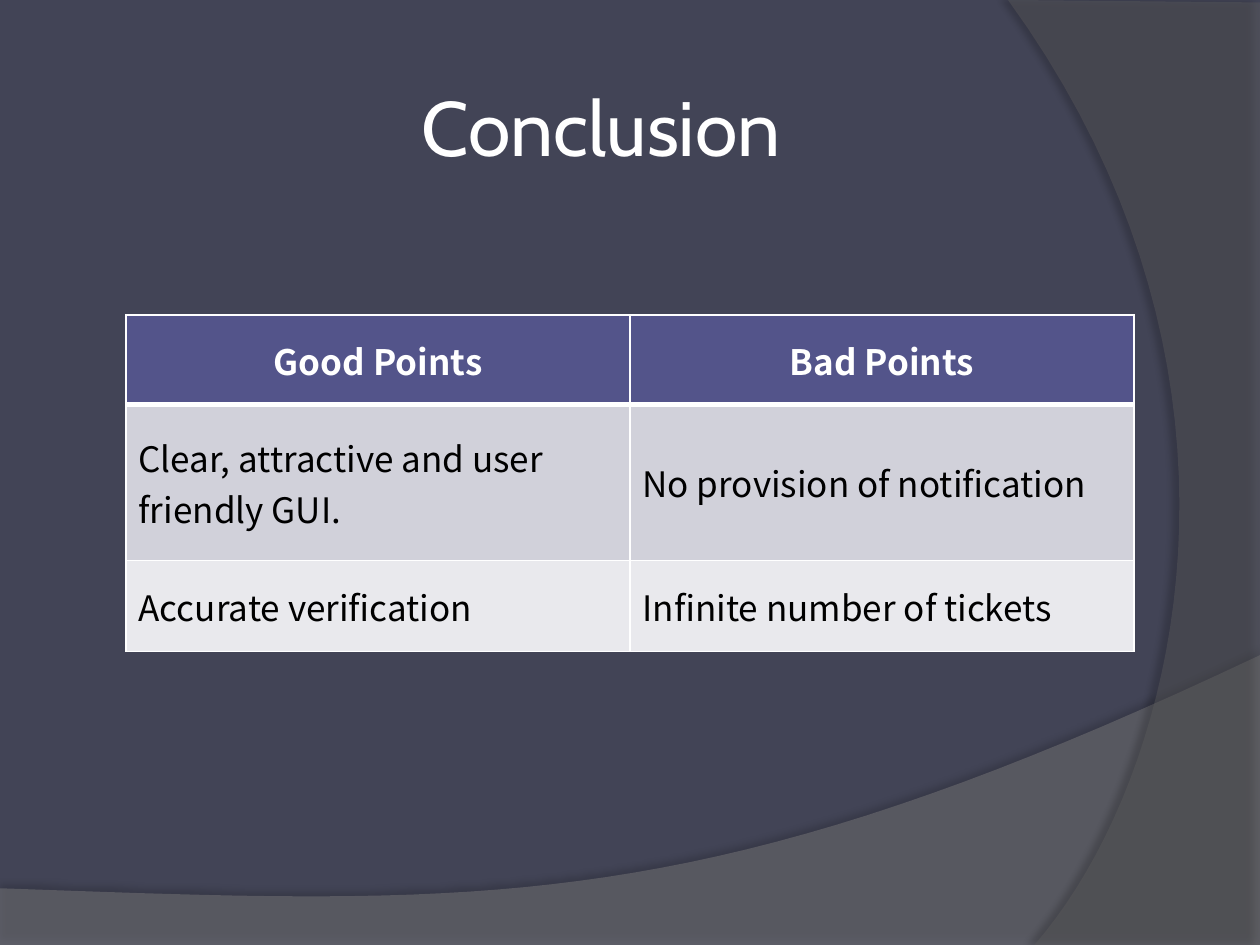
from lxml import etree
from pptx import Presentation, util as u
from pptx.dml.color import RGBColor
from pptx.enum import text
from pptx.oxml import parse_xml
from pptx.oxml.ns import nsdecls, qn

HUES = {"back": "424456", "wave": "7F7F7F", "arc": "5E5E5E", "head": "53548A",
        "odd": "D1D1DA", "even": "E9E9ED", "light": "FFFFFF", "dark": "000000"}
FONTS = {
    "title": {"name": "Cabin", "size": u.Pt(44), "bold": False},
    "head": {"name": "Noto Sans CJK JP", "size": u.Pt(20), "bold": True},
    "body": {"name": "Noto Sans CJK JP", "size": u.Pt(20), "bold": False},
}
COLS, ROWS = 10, 7.5
STEPS = 40


def curve(a, b, c, d):
    for step in range(1, STEPS + 1):
        t = step / STEPS
        s = 1 - t
        yield tuple(s**3 * i + 3 * s * s * t * j + 3 * s * t * t * k + t**3 * m
                    for i, j, k, m in zip(a, b, c, d))


class Deck:
    def __init__(self):
        self.prs = Presentation()
        self.prs.slide_width, self.prs.slide_height = u.Inches(10), u.Inches(7.5)
        self.page = self.prs.slides.add_slide(self.prs.slide_layouts[6])
        self.paint(self.page.background, "back")

    def x(self, col):
        return round(self.prs.slide_width * col / COLS)

    def y(self, row):
        return round(self.prs.slide_height * row / ROWS)

    def box(self, left, top, wide, high):
        return self.x(left), self.y(top), self.x(wide), self.y(high)

    def paint(self, item, hue):
        item.fill.solid()
        item.fill.fore_color.rgb = RGBColor.from_string(HUES[hue])

    def label(self, frame, words, style, hue, align=None):
        para = frame.paragraphs[0]
        para.alignment = align
        run = para.add_run()
        run.text = words
        for key, value in FONTS[style].items():
            setattr(run.font, key, value)
        run.font.color.rgb = RGBColor.from_string(HUES[hue])

    def title(self, words, *area):
        frame = self.page.shapes.add_textbox(*self.box(*area)).text_frame
        frame.word_wrap = True
        frame.auto_size = text.MSO_AUTO_SIZE.SHAPE_TO_FIT_TEXT
        self.label(frame, words, "title", "light")

    def sweep(self, points, hue, alpha, shade, blur, dist, angle):
        spots = [(self.x(col), self.y(row)) for col, row in points]
        form = self.page.shapes.build_freeform(*spots[0], scale=1.0)
        form.add_line_segments(spots[1:], close=True)
        shape = form.convert_to_shape()
        self.paint(shape, hue)
        shape.line.fill.background()
        props = shape.element.spPr
        tone = props.find(qn("a:solidFill"))[0]
        etree.SubElement(tone, qn("a:alpha"), val=str(alpha * 1000))
        props.append(parse_xml(
            f'<a:effectLst {nsdecls("a")}><a:outerShdw blurRad="{u.Pt(blur)}" '
            f'dist="{u.Pt(dist)}" dir="{angle * 60000}" algn="ctr" rotWithShape="0">'
            f'<a:srgbClr val="{HUES["dark"]}"><a:alpha val="{shade * 1000}"/>'
            '</a:srgbClr></a:outerShdw></a:effectLst>'))

    def edge(self, cell, base):
        props = cell._tc.get_or_add_tcPr()
        for spot, side in enumerate("LRTB"):
            wide = u.Pt(base if side == "B" else 1)
            props.insert(spot, parse_xml(
                f'<a:ln{side} {nsdecls("a")} w="{wide}"><a:solidFill>'
                f'<a:srgbClr val="{HUES["light"]}"/></a:solidFill></a:ln{side}>'))

    def table(self, data, highs, *area):
        grid = self.page.shapes.add_table(len(data), len(data[0]), *self.box(*area)).table
        for r, (line, high) in enumerate(zip(data, highs)):
            grid.rows[r].height = self.y(high)
            head = r == 0
            for c, words in enumerate(line):
                cell = grid.cell(r, c)
                cell.vertical_anchor = text.MSO_ANCHOR.MIDDLE
                self.paint(cell, "head" if head else "odd" if r % 2 else "even")
                self.edge(cell, 3 if head else 1)
                self.label(cell.text_frame, words, "head" if head else "body",
                           "light" if head else "dark",
                           text.PP_ALIGN.CENTER if head else None)


def main():
    deck = Deck()
    wave = [(0, 7.05), (0, 7.5), (10, 7.5), (10, 5.2),
            *curve((10, 5.2), (5.59, 7.29), (3.91, 7.19), (0, 7.05))]
    deck.sweep(wave, "wave", 45, 35, 4, 3.5, 270)
    arc = [(10, 0.02), (10, 7.5), (8.21, 7.5),
           *curve((8.21, 7.5), (9.35, 6.19), (10.18, 3), (8, 0))]
    deck.sweep(arc, "arc", 40, 45, 4, 4, 180)
    deck.table([
        ("Good Points", "Bad Points"),
        ("Clear, attractive and user friendly GUI.", "No provision of notification"),
        ("Accurate verification", "Infinite number of tickets"),
    ], (0.71, 1.24, 0.72), 1, 2.5, 8, 2.67)
    deck.title("Conclusion", 3.25, 0.58, 3.25, 0.84)
    deck.prs.save("out.pptx")


if __name__ == "__main__":
    main()
